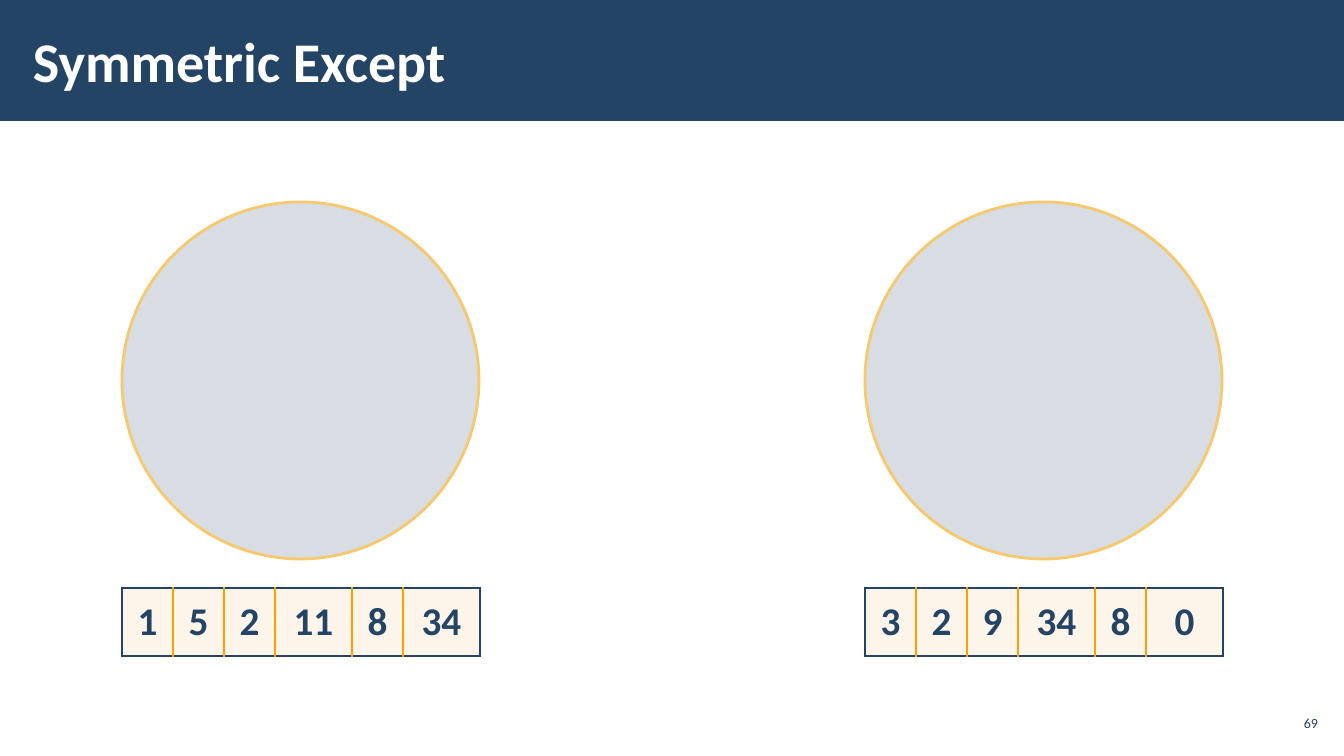
from dataclasses import dataclass

from lxml import etree
from pptx import Presentation
from pptx.dml.color import RGBColor
from pptx.enum.shapes import MSO_SHAPE
from pptx.enum.text import MSO_ANCHOR, PP_ALIGN
from pptx.oxml.ns import qn
from pptx.util import Pt

RECT, OVAL = MSO_SHAPE.RECTANGLE, MSO_SHAPE.OVAL
MIDDLE = MSO_ANCHOR.MIDDLE
LEFT, CENTER, RIGHT = PP_ALIGN.LEFT, PP_ALIGN.CENTER, PP_ALIGN.RIGHT
SCALE = 914400 / 100.8


@dataclass(frozen=True)
class Theme:
    font: str = "Calibri"
    navy: str = "234465"
    white: str = "FFFFFF"
    gold: str = "F7C86D"
    amber: str = "FFA000"
    cream: str = "FDF5EA"
    title: int = 40
    value: int = 28
    number: int = 10


def px(n):
    return round(n * SCALE)


def rgb(color):
    return RGBColor.from_string(color)


class Deck:
    def __init__(self, theme, width, height):
        self.theme = theme
        self.prs = Presentation()
        self.prs.slide_width, self.prs.slide_height = px(width), px(height)
        self.slide = self.prs.slides.add_slide(self.prs.slide_layouts[6])

    def shape(self, kind, box, fill, alpha=None, line=None):
        shape = self.slide.shapes.add_shape(kind, *map(px, box))
        shape.shadow.inherit = False
        shape.fill.solid()
        shape.fill.fore_color.rgb = rgb(fill)
        if alpha is not None:
            color = shape.element.spPr.find(".//" + qn("a:srgbClr"))
            etree.SubElement(color, qn("a:alpha"), val=str(alpha * 1000))
        if line:
            shape.line.color.rgb = rgb(line)
            shape.line.width = Pt(2)
        else:
            shape.line.fill.background()

    def label(self, frame, text, size, color, bold, align):
        para = frame.paragraphs[0]
        para.text = text
        para.alignment = align
        font = para.font
        font.name, font.size, font.bold = self.theme.font, Pt(size), bold
        font.color.rgb = rgb(color)
        return para

    def text(self, box, text, size, color, bold=False, align=LEFT, side=4):
        frame = self.slide.shapes.add_textbox(*map(px, box)).text_frame
        frame.word_wrap = True
        frame.vertical_anchor = MIDDLE
        frame.margin_left = frame.margin_right = px(side)
        frame.margin_top = frame.margin_bottom = px(4)
        self.label(frame, text, size, color, bold, align)

    def border(self, cell, colors):
        props = cell._tc.get_or_add_tcPr()
        for i, (side, color) in enumerate(zip("LRTB", colors)):
            line = etree.Element(qn("a:ln" + side), w=str(int(Pt(1))))
            fill = etree.SubElement(line, qn("a:solidFill"))
            etree.SubElement(fill, qn("a:srgbClr"), val=color)
            props.insert(i, line)

    def array(self, left, top, widths, height, values):
        t = self.theme
        box = (left, top, sum(widths), height)
        table = self.slide.shapes.add_table(1, len(values), *map(px, box)).table
        table.first_row = table.horz_banding = False
        last = len(values) - 1
        for i, (width, value) in enumerate(zip(widths, values)):
            table.columns[i].width = px(width)
            cell = table.cell(0, i)
            cell.fill.solid()
            cell.fill.fore_color.rgb = rgb(t.cream)
            cell.vertical_anchor = MIDDLE
            cell.margin_left = cell.margin_right = px(13)
            cell.margin_top = cell.margin_bottom = px(5)
            para = self.label(cell.text_frame, str(value), t.value, t.navy, True, CENTER)
            para.line_spacing = 0.95
            # Navy outside, amber between cells
            start = t.navy if i == 0 else t.amber
            end = t.navy if i == last else t.amber
            self.border(cell, (start, end, t.navy, t.navy))


def main():
    theme = Theme()
    deck = Deck(theme, 1344, 756)

    # Title bar
    deck.shape(RECT, (0, 0, 1344, 121), theme.navy)
    deck.text((21, 11, 1048, 98), "Symmetric Except", theme.title, theme.white,
              bold=True, side=12)

    # Slide number
    deck.text((1275, 706, 47, 34), "69", theme.number, theme.navy, align=RIGHT)

    # Two sets, each with its values below
    widths = (51, 51, 51, 77, 51, 77)
    sets = {122: (1, 5, 2, 11, 8, 34), 865: (3, 2, 9, 34, 8, 0)}
    for left, values in sets.items():
        deck.shape(OVAL, (left, 202, 357, 357), theme.navy, alpha=18, line=theme.gold)
        deck.array(left, 588, widths, 68, values)

    deck.prs.save("out.pptx")


if __name__ == "__main__":
    main()
